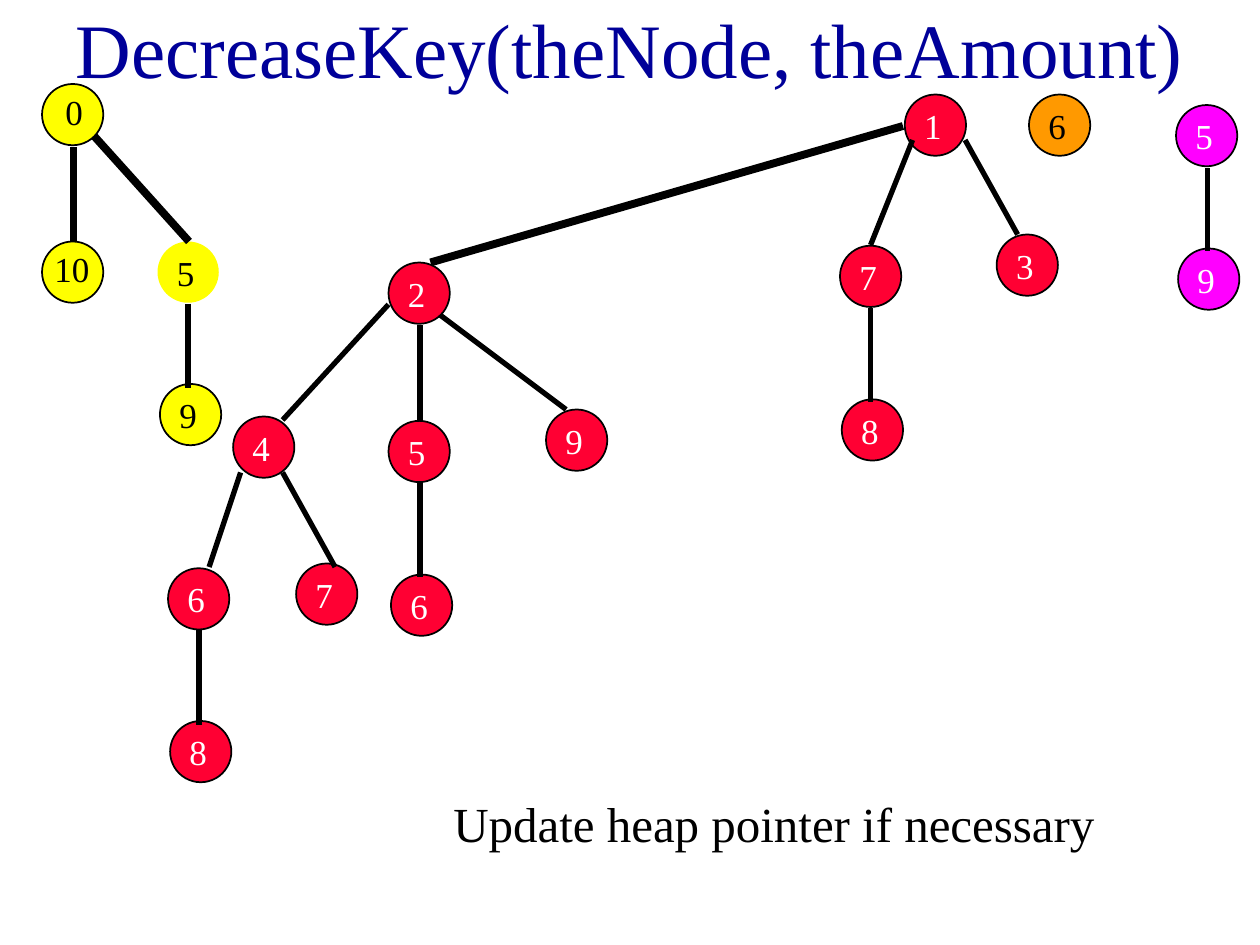
from lxml import etree
from pptx import Presentation
from pptx.dml.color import RGBColor
from pptx.enum.shapes import MSO_CONNECTOR as Link, MSO_SHAPE as Shape
from pptx.enum.text import MSO_ANCHOR as Anchor, MSO_AUTO_SIZE as Auto, PP_ALIGN as Align
from pptx.oxml.ns import qn
from pptx.util import Pt

FONT = "Times New Roman"
BLACK, WHITE = "000000", "FFFFFF"
YELLOW, RED, ORANGE, PINK = "FFFF00", "FF0033", "FF9900", "FF00FF"
SIZE = 35  # node diameter
THIN, THICK = 3, 4.5


def color(code):
    return RGBColor.from_string(code)


def write(shape, text, size, code, align=Align.LEFT):
    para = shape.text_frame.paragraphs[0]
    para.text = text
    para.alignment = align
    para.font.name = FONT
    para.font.size = Pt(size)
    para.font.color.rgb = color(code)


def add_title(slide, left, top, width, height):
    title = slide.shapes.title
    title.left, title.top = Pt(left), Pt(top)
    title.width, title.height = Pt(width), Pt(height)
    title.text_frame.vertical_anchor = Anchor.MIDDLE
    title.text_frame.auto_size = Auto.NONE
    write(title, "DecreaseKey(theNode, theAmount)", 44, "000099", Align.CENTER)


def add_note(slide, left, top, width, height):
    note = slide.shapes.add_textbox(Pt(left), Pt(top), Pt(width), Pt(height))
    note.text_frame.word_wrap = True
    write(note, "Update heap pointer if necessary", 28, BLACK)


def add_node(area, left, top, key, fill, ink, shift=(4, 2), edged=True):
    disc = area.add_shape(Shape.OVAL, Pt(left), Pt(top), Pt(SIZE), Pt(SIZE))
    disc.shadow.inherit = False
    disc.fill.solid()
    disc.fill.fore_color.rgb = color(fill)
    if edged:
        disc.line.color.rgb = color(BLACK)
        disc.line.width = Pt(1)
    else:
        disc.line.fill.background()
    dx, dy = shift
    label = area.add_textbox(Pt(left + dx), Pt(top + dy),
                             Pt(14.4 + 10 * len(key)), Pt(31))
    label.text_frame.word_wrap = False
    write(label, key, 20, ink)


def add_edge(area, x1, y1, x2, y2, width=THIN):
    edge = area.add_connector(Link.STRAIGHT, Pt(x1), Pt(y1), Pt(x2), Pt(y2))
    edge.line.color.rgb = color(BLACK)
    edge.line.width = Pt(width)
    etree.SubElement(edge.element.spPr, qn("a:effectLst"))


def add_tree(area, left, top, fill, ink, nodes, edges=()):
    """Nodes are x, y, key, *style and edges x1, y1, x2, y2, *width."""
    for x, y, key, *style in nodes:
        add_node(area, left + x, top + y, key, fill, ink, *style)
    for x1, y1, x2, y2, *width in edges:
        add_edge(area, left + x1, top + y1, left + x2, top + y2, *width)


def add_heap(area, left, top):
    """The red tree: three parts of four nodes, then the links between them."""
    parts = [
        (384, 0,
         [(37, 0, "1"), (0, 86.4, "7"), (89.5, 80, "3"), (1, 174.2, "8")],
         [(17.5, 122, 17.5, 176), (41.5, 26, 17.5, 86), (71.5, 26, 101.5, 80)]),
        (126, 96,
         [(0, 0, "2"), (0, 90.5, "5"), (90, 84, "9"), (1.4, 178.3, "6")],
         [(18, 126, 18, 180), (18, 36, 18, 90), (29.5, 30, 101.5, 84)]),
        (0, 184,
         [(37.2, 0, "4"), (0, 86.7, "6"), (73.2, 84, "7"), (1.2, 174, "8")],
         [(17.8, 122, 17.8, 176), (41.5, 32, 23.5, 86), (65.5, 32, 95.5, 86)]),
    ]
    for x, y, nodes, edges in parts:
        add_tree(area, left + x, top + y, RED, WHITE, nodes, edges)
    add_edge(area, left + 126, top + 120, left + 65.5, top + 186)
    add_edge(area, left + 420, top + 18, left + 150, top + 96, THICK)


def main():
    deck = Presentation()
    deck.slide_width, deck.slide_height = Pt(720), Pt(540)
    slide = deck.slides.add_slide(deck.slide_layouts[5])
    shapes = slide.shapes

    add_title(slide, 12, 0, 696, 54)

    # Yellow tree
    add_tree(shapes, 24, 48, YELLOW, BLACK,
             [(0, 90, "10", (0, 0)), (0, 0, "0", (6.3, 0)),
              (66, 90, "5", (4, 2), False), (67.4, 171.4, "9")],
             [(83.5, 125.5, 83.5, 174), (18, 36, 18, 90, THICK),
              (30, 30, 84, 90, THICK)])

    # Red tree and single orange node
    add_heap(shapes.add_group_shape().shapes, 96, 54)
    add_tree(shapes.add_group_shape().shapes, 588, 54, ORANGE, BLACK, [(0, 0, "6")])

    # Pink tree
    add_tree(shapes, 672, 60, PINK, WHITE,
             [(0, 0, "5"), (1.2, 82, "9")], [(18, 36, 18, 83.5)])

    add_note(slide, 252, 450, 414, 41)
    deck.save("out.pptx")


if __name__ == "__main__":
    main()
